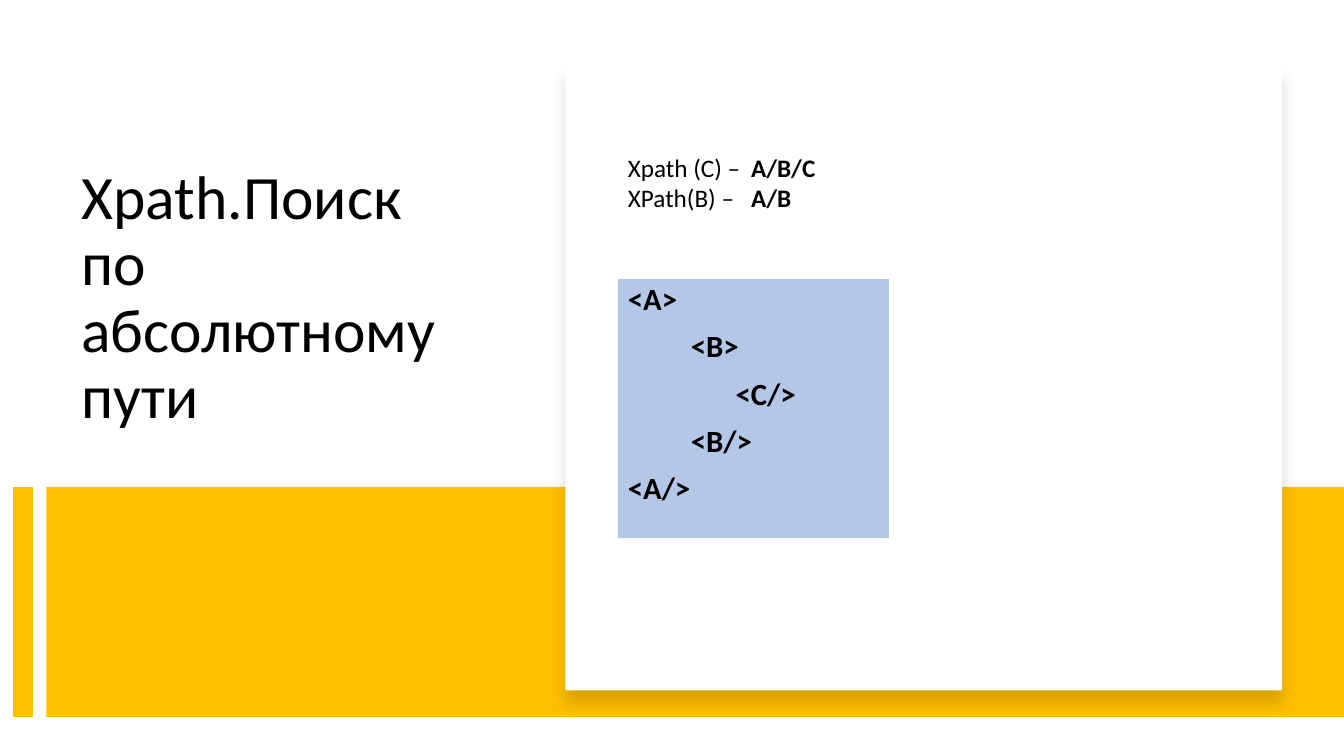
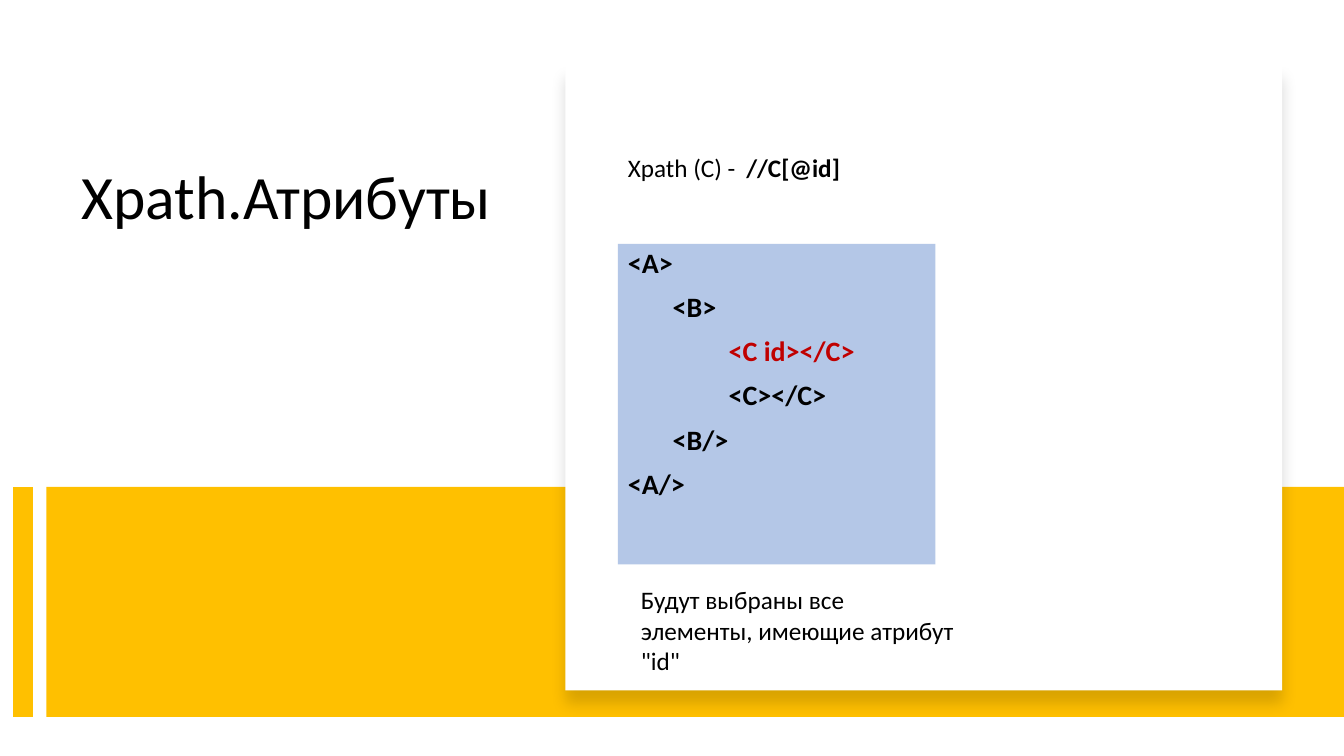
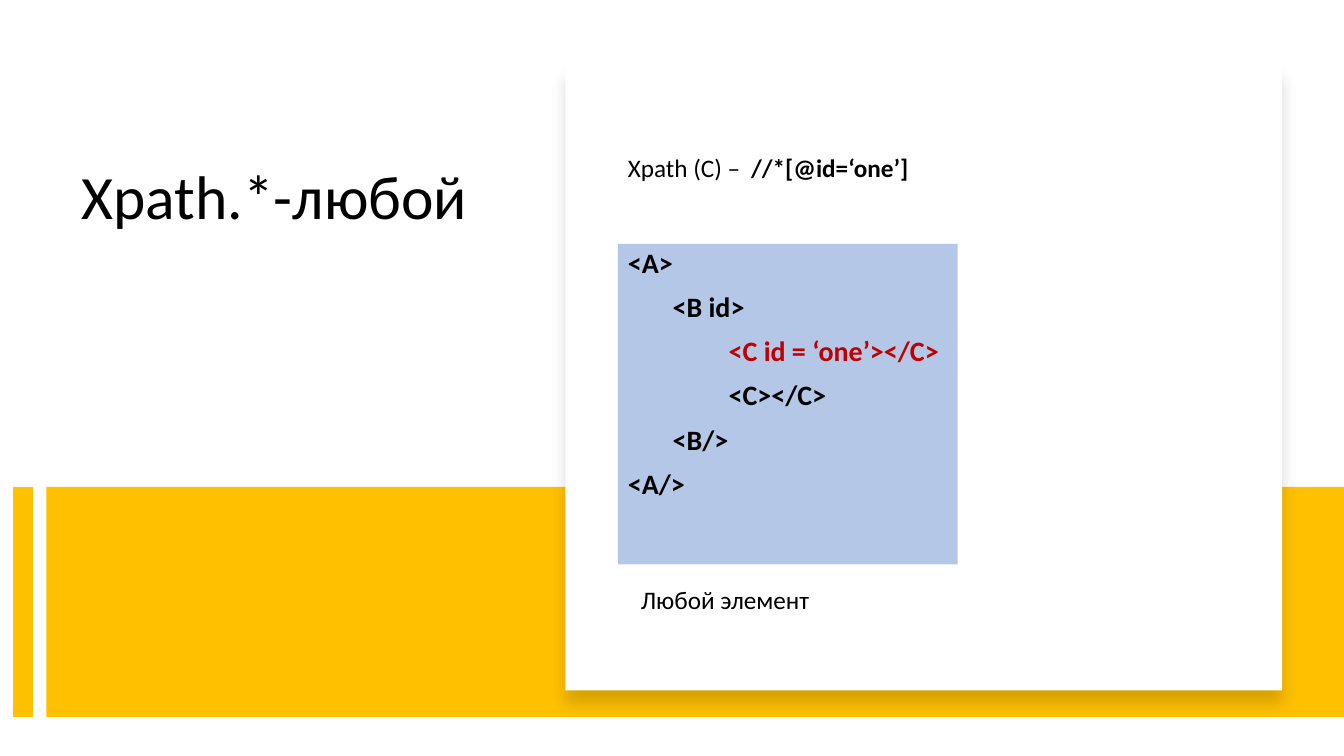
from dataclasses import dataclass

from lxml import etree
from pptx import Presentation
from pptx import util as u
from pptx.dml.color import RGBColor
from pptx.enum import shapes, text
from pptx.oxml import ns


@dataclass(frozen=True)
class Theme:
    """Colours and type sizes shared by all slides."""
    font: str = "Calibri"
    ink: str = "000000"
    accent: str = "FFC000"
    paper: str = "FFFFFF"
    code_fill: str = "B4C7E7"
    match: str = "C00000"
    title_size: float = 44
    body_size: float = 18


@dataclass(frozen=True)
class Box:
    """Rectangle in points."""
    left: float
    top: float
    width: float
    height: float

    def inner(self, left, top, width, height):
        """Return a box offset from this one's corner."""
        return Box(self.left + left, self.top + top, width, height)

    def lengths(self):
        """Return the four sides as lengths."""
        return [u.Pt(side) for side in (self.left, self.top, self.width, self.height)]


THEME = Theme()
PAGE = Box(0, 0, 960, 540)
BAND = Box(0, 347.8, 960, 164.2)
CARD = Box(403.9, 46.1, 511.9, 447.1)

LESSONS = [
    {"title": "Xpath.Поиск по абсолютному пути", "title_width": 298.8,
     "lookups": [("Xpath (C) –", "A/B/C"), ("XPath(B) –", "A/B")], "answer_at": 88,
     "code": {"place": (37.5, 153.3, 193.6, 185), "size": 22, "indents": (0, 45, 77),
              "lines": [(0, "<A>"), (1, "<B>"), (2, "<C/>"), (1, "<B/>"), (0, "<A/>")]}},
    {"title": "Xpath.Атрибуты", "title_width": 324.7,
     "lookups": [("Xpath (C) -", "//C[@id]")], "answer_at": 84.6,
     "code": {"place": (37.5, 128.1, 226.8, 229), "size": 20, "indents": (0, 32, 72),
              "match": "<C id></C>",
              "lines": [(0, "<A>"), (1, "<B>"), (2, "<C id></C>"), (2, "<C></C>"),
                        (1, "<B/>"), (0, "<A/>")]},
     "note": "Будут выбраны все элементы, имеющие атрибут \"id\""},
    {"title": "Xpath.*-любой", "title_width": 324.7,
     "lookups": [("Xpath (C) –", "//*[@id=‘one’]")], "answer_at": 88,
     "code": {"place": (37.5, 128.1, 242.6, 229), "size": 20, "indents": (0, 32, 72),
              "match": "<C id = ‘one’></C>",
              "lines": [(0, "<A>"), (1, "<B id>"), (2, "<C id = ‘one’></C>"),
                        (2, "<C></C>"), (1, "<B/>"), (0, "<A/>")]},
     "note": "Любой элемент"},
]


def apply(target, values):
    """Set each named attribute on the target."""
    for key, value in values.items():
        setattr(target, key, value)


def add_run(paragraph, wording, size, bold=False, colour=THEME.ink):
    """Append a styled run."""
    run = paragraph.add_run()
    run.text = wording
    apply(run.font, {"name": THEME.font, "size": u.Pt(size), "bold": bold})
    run.font.color.rgb = RGBColor.from_string(colour)


def paragraphs(frame, count):
    """Return the given number of left-aligned paragraphs of a frame."""
    rows = [frame.paragraphs[0]] + [frame.add_paragraph() for _ in range(count - 1)]
    for row in rows:
        row.alignment = text.PP_ALIGN.LEFT
    return rows


def add_frame(slide, box):
    """Add a wrapping text box and return its frame."""
    frame = slide.shapes.add_textbox(*box.lengths()).text_frame
    apply(frame, {"word_wrap": True, "vertical_anchor": text.MSO_ANCHOR.TOP})
    return frame


def add_panel(slide, box, colour):
    """Add a plain filled rectangle."""
    panel = slide.shapes.add_shape(shapes.MSO_SHAPE.RECTANGLE, *box.lengths())
    panel.shadow.inherit = False
    panel.fill.solid()
    panel.fill.fore_color.rgb = RGBColor.from_string(colour)
    panel.line.fill.background()
    return panel


def add_band(slide, box):
    """Draw the accent band with its separate stripe on the left."""
    add_panel(slide, box.inner(33.2, 0, box.width - 33.2, box.height), THEME.accent)
    x = u.Pt(box.left + 16.5)
    stripe = slide.shapes.add_connector(
        shapes.MSO_CONNECTOR.STRAIGHT, x, u.Pt(box.top), x, u.Pt(box.top + box.height))
    stripe.line.width = u.Pt(14)
    stripe.line.color.rgb = RGBColor.from_string(THEME.accent)
    etree.SubElement(stripe._element.spPr, ns.qn("a:effectLst"))


def add_card(slide, box):
    """Draw the white card with a soft shadow below it."""
    card = add_panel(slide, box, THEME.paper)
    effects = card._element.spPr.find(ns.qn("a:effectLst"))
    shadow = etree.SubElement(
        effects, ns.qn("a:outerShdw"), blurRad=str(u.Pt(11)), dist=str(u.Pt(10)),
        dir="5400000", algn="t", rotWithShape="0")
    tint = etree.SubElement(shadow, ns.qn("a:srgbClr"), val=THEME.ink)
    etree.SubElement(tint, ns.qn("a:alpha"), val="15000")


def add_title(slide, box, wording):
    """Write the slide title."""
    heading = paragraphs(add_frame(slide, box), 1)[0]
    heading.line_spacing = 0.9
    add_run(heading, wording, THEME.title_size)


def add_lookups(slide, box, lookups, answer_at):
    """Write expressions with their answers aligned at a tab stop."""
    rows = paragraphs(add_frame(slide, box), len(lookups))
    for row, (label, answer) in zip(rows, lookups):
        stops = etree.SubElement(row._p.get_or_add_pPr(), ns.qn("a:tabLst"))
        etree.SubElement(stops, ns.qn("a:tab"), pos=str(u.Pt(answer_at)), algn="l")
        add_run(row, label + "\t", THEME.body_size)
        add_run(row, answer, THEME.body_size, bold=True)


def add_code(slide, box, size, indents, lines, match=None):
    """Draw the markup listing, with the matched line coloured."""
    frame = add_panel(slide, box, THEME.code_fill).text_frame
    apply(frame, {"word_wrap": True, "vertical_anchor": text.MSO_ANCHOR.TOP})
    for row, (level, markup) in zip(paragraphs(frame, len(lines)), lines):
        apply(row, {"line_spacing": 0.9, "space_before": u.Pt(10)})
        row._p.get_or_add_pPr().set("marL", str(u.Pt(indents[level])))
        colour = THEME.match if markup == match else THEME.ink
        add_run(row, markup, size, bold=True, colour=colour)


def add_note(slide, box, wording):
    """Write the explanation under the listing."""
    add_run(paragraphs(add_frame(slide, box), 1)[0], wording, THEME.body_size)


def add_lesson(deck, lesson):
    """Build one lesson slide."""
    slide = deck.slides.add_slide(deck.slide_layouts[6])
    add_title(slide, PAGE.inner(51.1, 115.2, lesson["title_width"], 211.7), lesson["title"])
    add_band(slide, BAND)
    add_card(slide, CARD)
    code = dict(lesson["code"])
    add_code(slide, CARD.inner(*code.pop("place")), **code)
    lookups = lesson["lookups"]
    add_lookups(slide, CARD.inner(37.5, 59, 226.8, 7 + 22 * len(lookups)),
                lookups, lesson["answer_at"])
    if "note" in lesson:
        add_note(slide, CARD.inner(46.8, 367.9, 242.6, 72.7), lesson["note"])


def main():
    """Build and save the deck."""
    deck = Presentation()
    apply(deck, {"slide_width": u.Pt(PAGE.width), "slide_height": u.Pt(PAGE.height)})
    for lesson in LESSONS:
        add_lesson(deck, lesson)
    deck.save("out.pptx")


if __name__ == "__main__":
    main()
